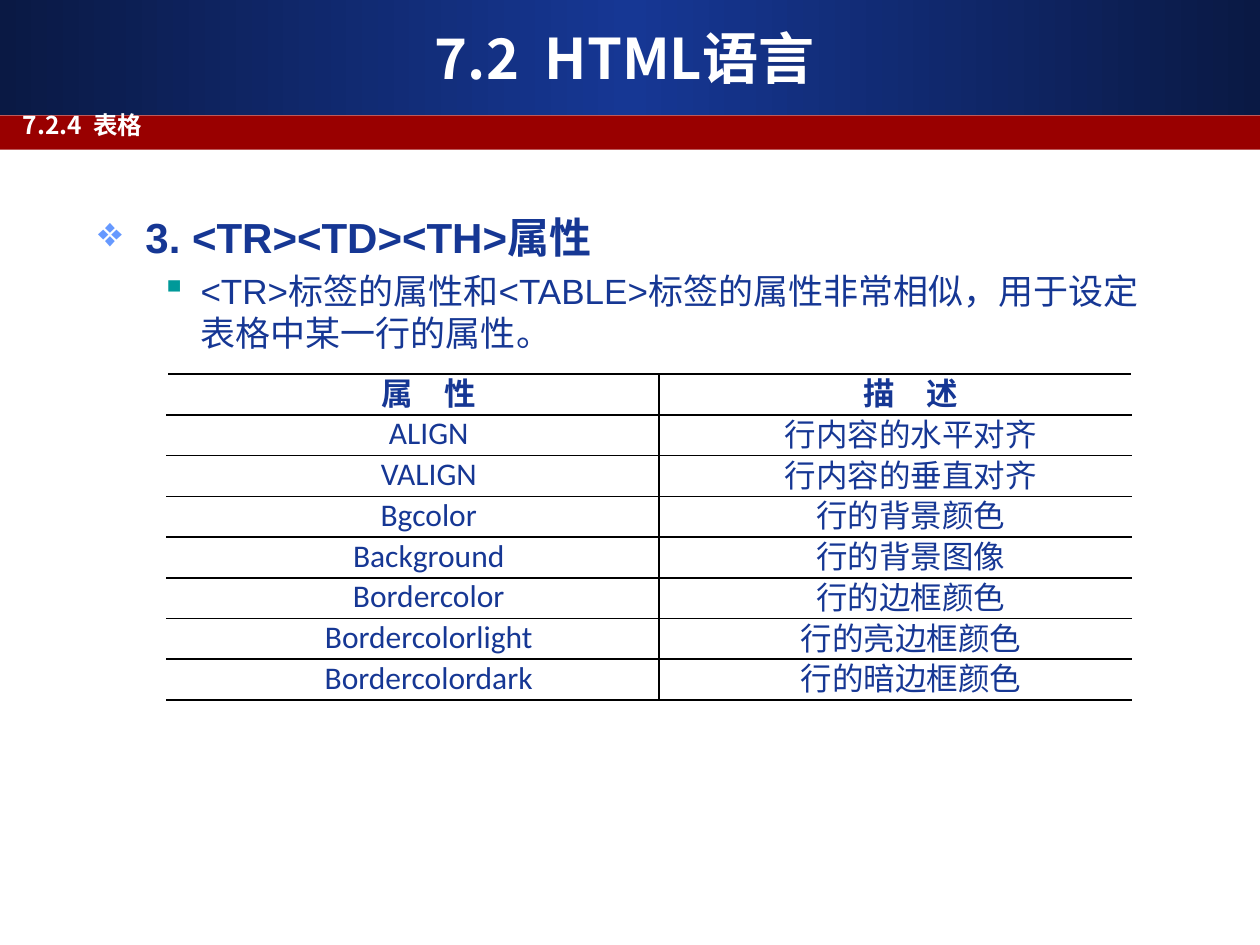
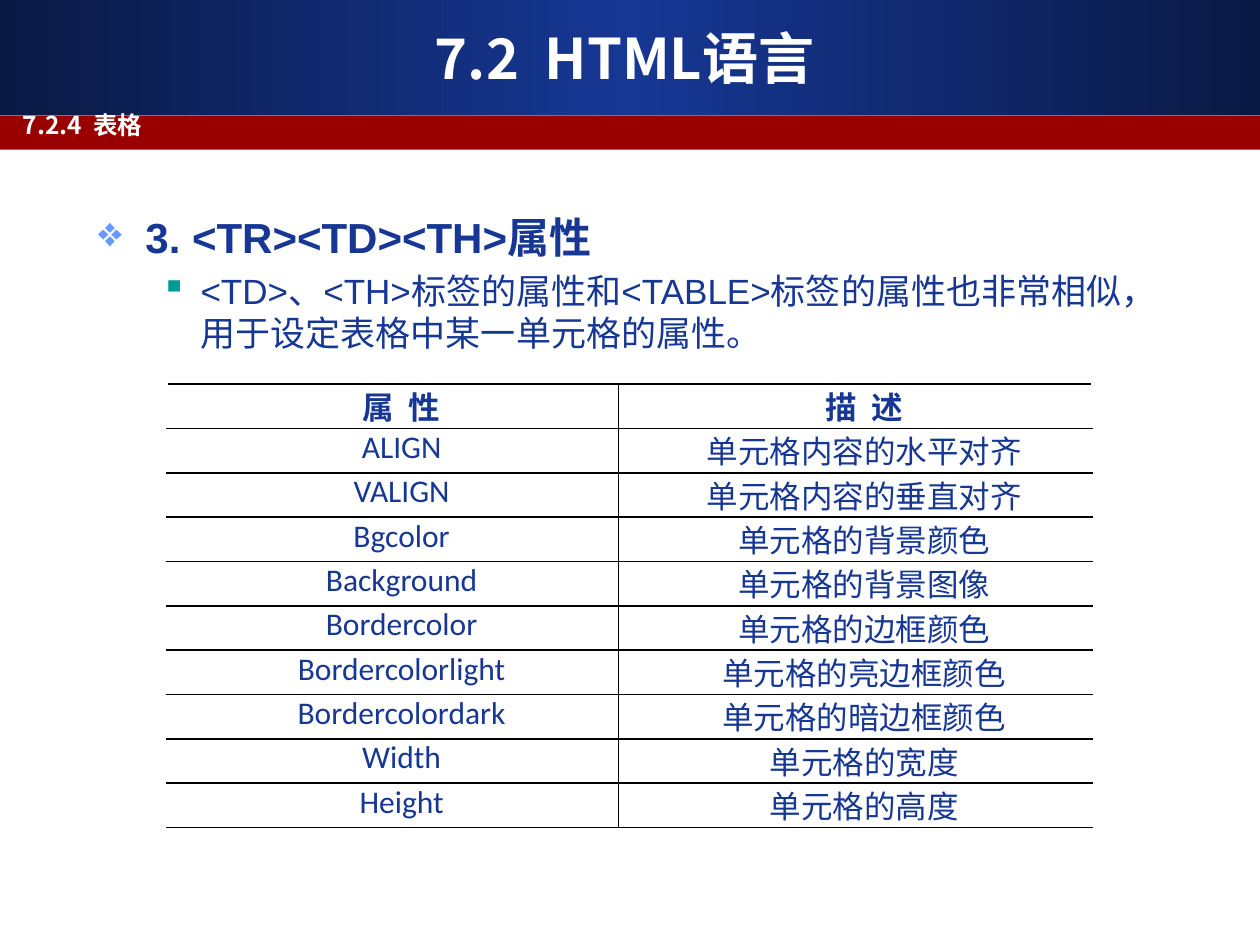
from copy import deepcopy
from dataclasses import dataclass

from lxml import etree
from pptx import Presentation
from pptx.dml.color import RGBColor
from pptx.enum.shapes import MSO_SHAPE
from pptx.enum.text import MSO_ANCHOR, PP_ALIGN
from pptx.oxml.ns import qn
from pptx.util import Pt

RECTANGLE = MSO_SHAPE.RECTANGLE
MIDDLE = MSO_ANCHOR.MIDDLE
TOP = MSO_ANCHOR.TOP
CENTER = PP_ALIGN.CENTER
LEFT = PP_ALIGN.LEFT


@dataclass(frozen=True)
class Theme:
    """Colours, fonts and type sizes shared by the slides."""
    navy: str = "163794"
    band_edge: str = "0A1944"
    red: str = "990000"
    white: str = "FFFFFF"
    black: str = "000000"
    heading_bullet: str = "6699FF"
    detail_bullet: str = "009999"
    title_font: str = "Noto Sans CJK SC"
    body_font: str = "Arial"
    table_font: str = "Calibri"
    title_size: float = 32
    section_size: float = 14
    heading_size: float = 24
    detail_size: float = 20
    table_size: float = 18


THEME = Theme()
SLIDE_WIDTH, SLIDE_HEIGHT = 720, 540
CHAPTER = "7.2  HTML语言"
SECTION = "7.2.4  表格"
HEADING = "3. <TR><TD><TH>属性"
ATTRIBUTES = ["ALIGN", "VALIGN", "Bgcolor", "Background", "Bordercolor",
              "Bordercolorlight", "Bordercolordark"]
DESCRIPTIONS = ["内容的水平对齐", "内容的垂直对齐", "的背景颜色", "的背景图像",
                "的边框颜色", "的亮边框颜色", "的暗边框颜色"]


def describe(subject):
    """Pair each attribute with its description for the given subject."""
    return [(name, subject + text) for name, text in zip(ATTRIBUTES, DESCRIPTIONS)]


PAGES = [
    {
        "detail": "<TR>标签的属性和<TABLE>标签的属性非常相似，用于设定表格中某一行的属性。",
        "rows": [("属　性", "描　述")] + describe("行"),
        "box": (95.5, 213.8, 551, 186),
        "first_column": 281,
        "indent": 18,
    },
    {
        "detail": "<TD>、<TH>标签的属性和<TABLE>标签的属性也非常相似，"
                  "用于设定表格中某一单元格的属性。",
        "rows": [("属  性", "描  述")] + describe("单元格")
                + [("Width", "单元格的宽度"), ("Height", "单元格的高度")],
        "box": (95.5, 219.5, 528.5, 253),
        "first_column": 258,
        "indent": 10,
    },
]


def in_points(box):
    """Convert a box of numbers to lengths."""
    return [Pt(value) for value in box]


def add_run(paragraph, text, font, size, color, bold=False):
    """Append one styled run to a paragraph."""
    run = paragraph.add_run()
    run.text = text
    run.font.name = font
    run.font.size = Pt(size)
    run.font.bold = bold
    run.font.color.rgb = RGBColor.from_string(color)
    east_asian = etree.SubElement(run.font._element, qn("a:ea"))
    east_asian.set("typeface", THEME.title_font)


def add_text_frame(slide, box, anchor=TOP, top_inset=3.6):
    """Add a wrapping text box and return its text frame."""
    frame = slide.shapes.add_textbox(*in_points(box)).text_frame
    frame.word_wrap = True
    frame.vertical_anchor = anchor
    frame.margin_top = Pt(top_inset)
    return frame


def add_band(slide, box):
    """Add a borderless full-width band."""
    band = slide.shapes.add_shape(RECTANGLE, *in_points(box))
    band.shadow.inherit = False
    band.line.fill.background()
    return band


def fill_with_gradient(band):
    """Fill a band from dark edges to a navy centre."""
    band.fill.gradient()
    band.fill.gradient_angle = 0
    edge, centre = band.fill.gradient_stops
    edge.position, centre.position = 0, 0.5
    edge.color.rgb = RGBColor.from_string(THEME.band_edge)
    centre.color.rgb = RGBColor.from_string(THEME.navy)
    stops = band._element.spPr.find(".//" + qn("a:gsLst"))
    last = deepcopy(stops[0])
    last.set("pos", "100000")
    stops.append(last)


def add_header(slide, box):
    """Place the chapter band and the section band with their titles."""
    left, top, width, _ = box
    fill_with_gradient(add_band(slide, (left, top, width, 65.5)))
    section_band = add_band(slide, (left, top + 66, width, 19.5))
    section_band.fill.solid()
    section_band.fill.fore_color.rgb = RGBColor.from_string(THEME.red)
    labels = [
        (CHAPTER, (left + 24, top + 10.6, 666, 44.6), MIDDLE, 3.6, CENTER, THEME.title_size),
        (SECTION, (left + 6, top + 62, width - 6, 24.5), TOP, 0.8, LEFT, THEME.section_size),
    ]
    for text, label_box, anchor, inset, alignment, size in labels:
        paragraph = add_text_frame(slide, label_box, anchor, inset).paragraphs[0]
        paragraph.alignment = alignment
        add_run(paragraph, text, THEME.title_font, size, THEME.white, bold=True)


def set_bullet(paragraph, symbol, color, margin, hanging):
    """Give a paragraph a coloured bullet and a hanging indent."""
    properties = paragraph._p.get_or_add_pPr()
    properties.set("marL", str(Pt(margin)))
    properties.set("indent", str(-Pt(hanging)))
    bullet_color = etree.SubElement(properties, qn("a:buClr"))
    etree.SubElement(bullet_color, qn("a:srgbClr")).set("val", color)
    etree.SubElement(properties, qn("a:buChar")).set("char", symbol)


def add_body(slide, box, detail):
    """Place the bulleted heading and its detail line."""
    frame = add_text_frame(slide, box)
    heading, explanation = frame.paragraphs[0], frame.add_paragraph()
    explanation.level = 1
    heading.line_spacing, explanation.line_spacing = Pt(30), Pt(24)
    explanation.space_before = Pt(4.5)
    set_bullet(heading, "❖", THEME.heading_bullet, 27, 27)
    set_bullet(explanation, "▪", THEME.detail_bullet, 58.5, 22.5)
    add_run(heading, HEADING, THEME.body_font, THEME.heading_size, THEME.navy, bold=True)
    add_run(explanation, detail, THEME.body_font, THEME.detail_size, THEME.navy)


def set_borders(cell, sides):
    """Draw black one-point borders on the given sides, in schema order."""
    properties = cell._tc.get_or_add_tcPr()
    for position, side in enumerate(sides):
        line = etree.Element(qn("a:ln" + side), w=str(Pt(1)))
        fill = etree.SubElement(line, qn("a:solidFill"))
        etree.SubElement(fill, qn("a:srgbClr")).set("val", THEME.black)
        properties.insert(position, line)


def add_attribute_table(slide, box, rows, first_column, indent):
    """Place the two-column attribute table with equal rows."""
    table = slide.shapes.add_table(len(rows), 2, *in_points(box)).table
    table.first_row = table.horz_banding = False
    table.columns[0].width = Pt(first_column)
    table.columns[1].width = Pt(box[2] - first_column)
    row_height = Pt(box[3] / len(rows))
    for row_index, texts in enumerate(rows):
        table.rows[row_index].height = row_height
        for column_index, text in enumerate(texts):
            cell = table.cell(row_index, column_index)
            cell.margin_left = cell.margin_right = Pt(5)
            cell.margin_top = cell.margin_bottom = 0
            cell.fill.background()
            set_borders(cell, "LTB" if column_index else "RTB")
            paragraph = cell.text_frame.paragraphs[0]
            paragraph.alignment = CENTER
            paragraph._p.get_or_add_pPr().set("indent", str(Pt(indent)))
            is_header = row_index == 0
            if is_header or column_index == 1:
                paragraph.line_spacing = row_height
            add_run(paragraph, text, THEME.table_font, THEME.table_size, THEME.navy, is_header)


def add_attribute_slide(presentation, page):
    """Build one slide with header, explanation and attribute table."""
    slide = presentation.slides.add_slide(presentation.slide_layouts[6])
    add_header(slide, (0, 0, SLIDE_WIDTH, 85.5))
    add_body(slide, (49, 116, 616, 382), page["detail"])
    add_attribute_table(slide, page["box"], page["rows"], page["first_column"], page["indent"])


def main():
    """Build and save the presentation."""
    presentation = Presentation()
    presentation.slide_width, presentation.slide_height = Pt(SLIDE_WIDTH), Pt(SLIDE_HEIGHT)
    for page in PAGES:
        add_attribute_slide(presentation, page)
    presentation.save("out.pptx")


if __name__ == "__main__":
    main()
